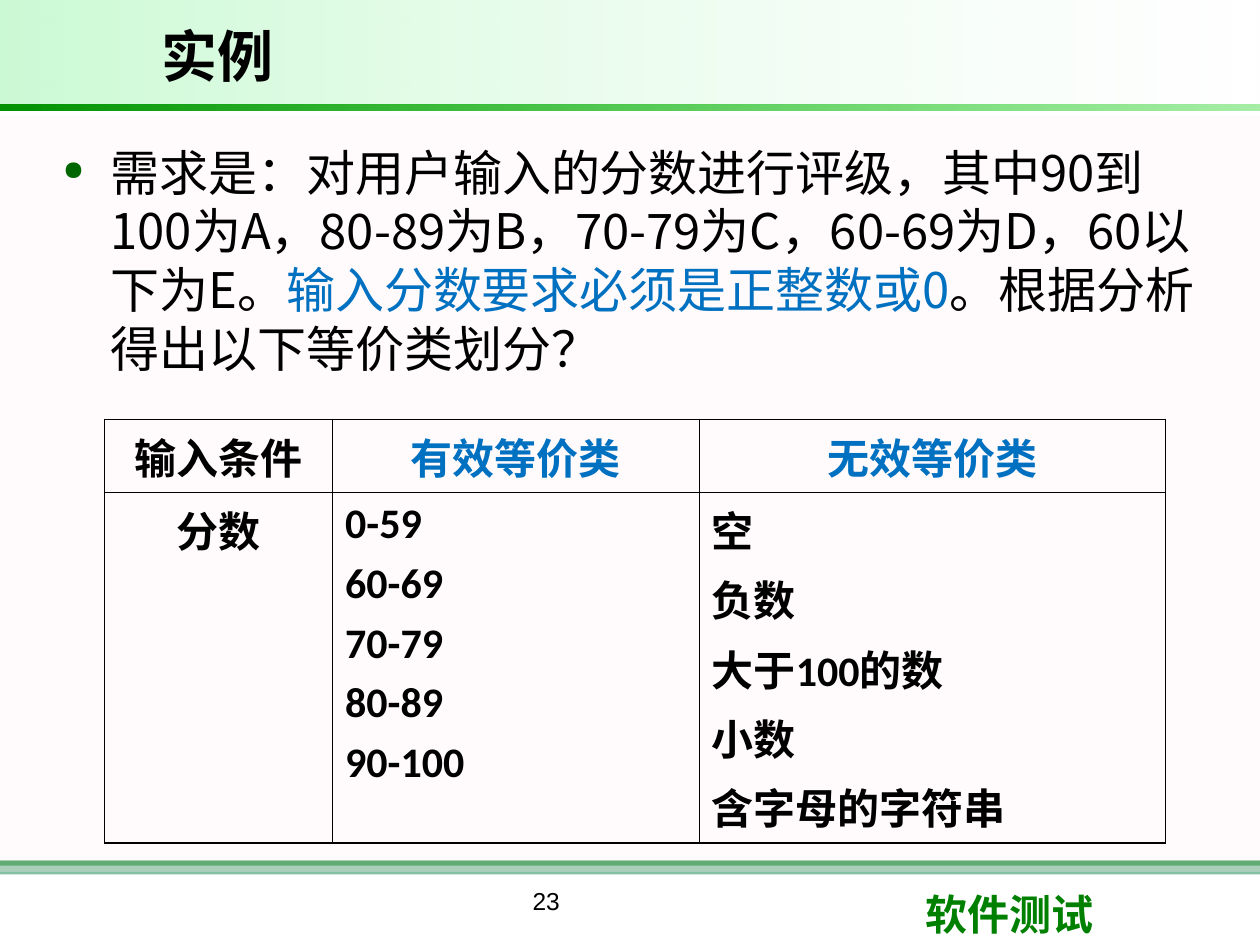
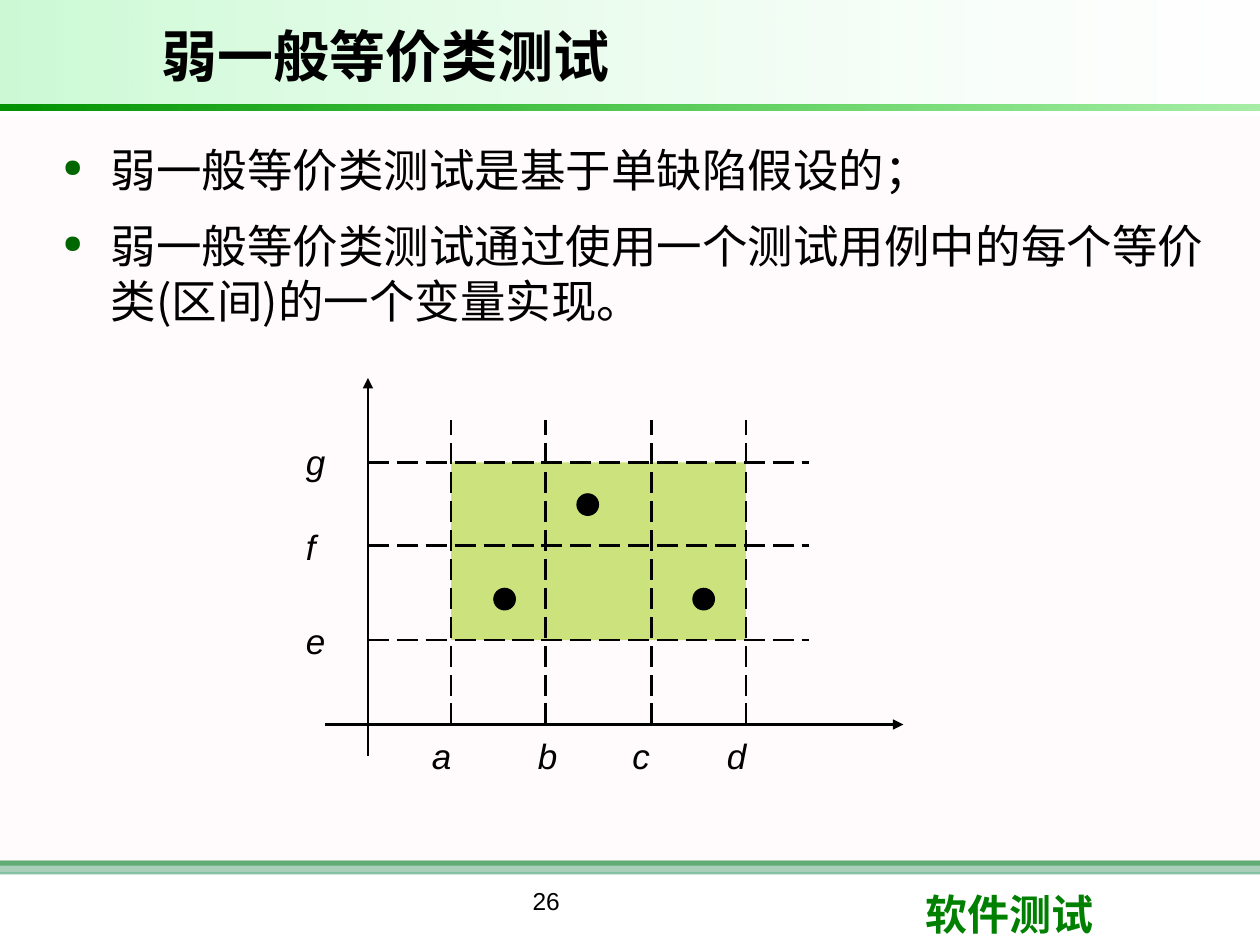
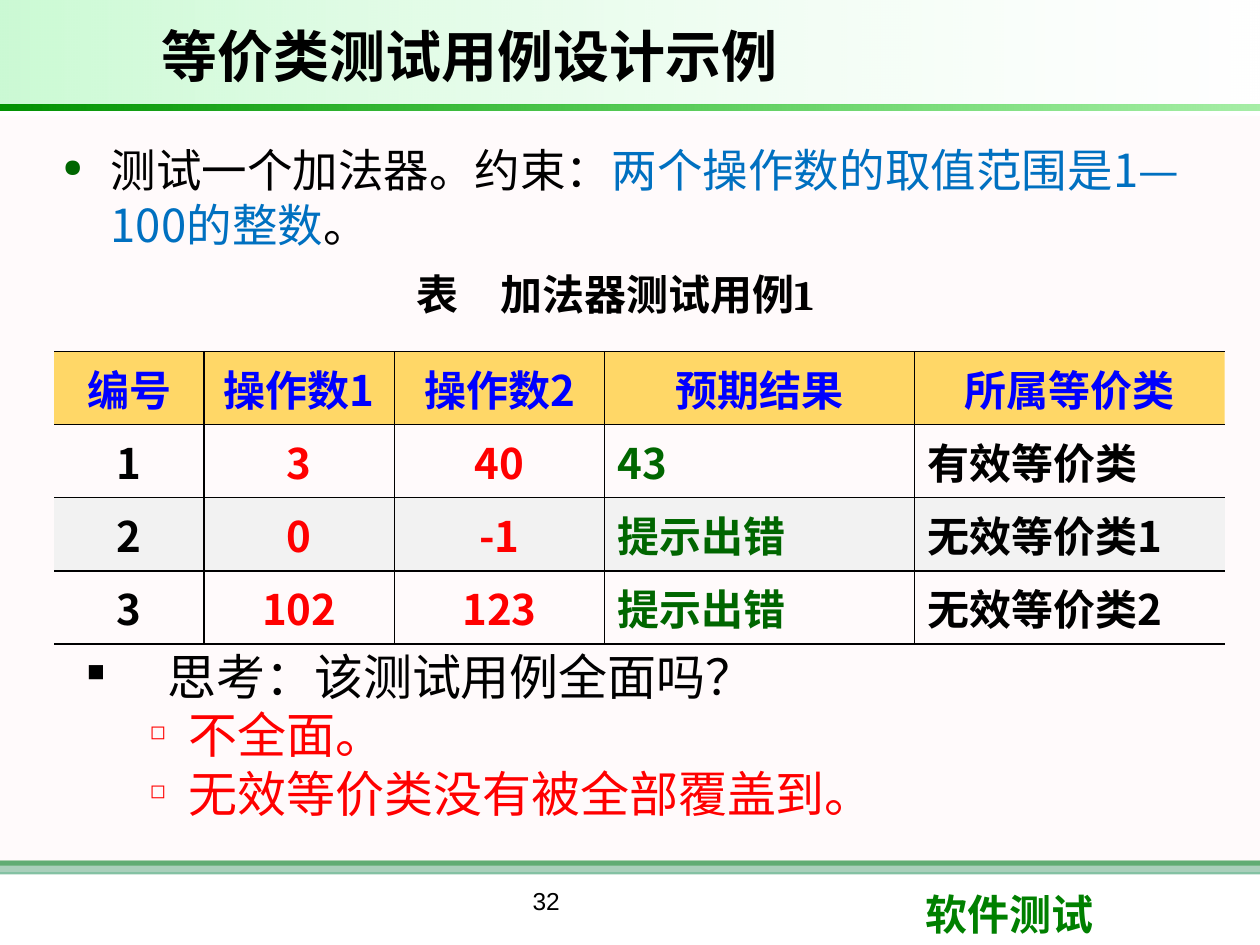
from dataclasses import dataclass
from typing import NamedTuple, Optional

from lxml import etree
from pptx import Presentation
from pptx import util as u
from pptx.dml.color import RGBColor
from pptx.enum import dml, shapes, text
from pptx.oxml.ns import qn

COLORS = {
    "black": "000000", "white": "FFFFFF", "green": "008000", "sea": "339966",
    "blush": "FFF0F5", "mint": "09E733", "rule_dark": "009200",
    "rule_light": "00CC00", "forest": "006600", "blue": "0070C0",
    "pure_blue": "0000FF", "red": "FF0000", "lime": "99CC00",
    "gold": "FFC000", "gray": "F2F2F2",
}
CJK = "Noto Sans CJK SC"
CENTER = text.PP_ALIGN.CENTER
MIDDLE = text.MSO_ANCHOR.MIDDLE


class Box(NamedTuple):
    left: float
    top: float
    width: float
    height: float

    def lengths(self) -> list:
        return [u.Inches(value) for value in self]


class Run(NamedTuple):
    text: str
    color: Optional[str] = None


class Bullet(NamedTuple):
    char: str
    percent: int
    margin: float
    hanging: float
    color: Optional[str] = None
    level: int = 0


class GridLine(NamedTuple):
    name: str
    position: float
    label_start: float


@dataclass(frozen=True)
class Style:
    size: float
    font: str = CJK
    color: str = "black"
    bold: bool = False
    italic: bool = False
    align: Optional[text.PP_ALIGN] = None
    bullet: Optional[Bullet] = None
    leading: Optional[float] = None
    before: float = 0
    after: float = 0


class Cell(NamedTuple):
    lines: list
    style: Style
    fill: Optional[str] = None
    alpha: int = 100


class Paragraph(NamedTuple):
    runs: list
    style: Style


DISC = Bullet("●", 55, 0.39, 0.38, "forest")
SQUARE = Bullet("■", 50, 0.64, 0.64)
HOLLOW = Bullet("◻", 40, 0.81, 0.31, level=1)

TITLE = Style(32, "Arial", bold=True)
COURSE = Style(24, "Lato", "green", bold=True)
PAGE_NUMBER = Style(14, "Arial", align=CENTER)
CAPTION = Style(24, "Cambria", bold=True, align=CENTER)
AXIS_LABEL = Style(20, "Arial", italic=True)


def body_style(size: float) -> Style:
    return Style(size, bullet=DISC, leading=1.2 * size, before=6, after=6)


def cell_style(color: str = "black", align: Optional[text.PP_ALIGN] = None,
               font: str = CJK) -> Style:
    return Style(24, font, color, bold=True, align=align, before=4.8)


def rgb(name: str) -> RGBColor:
    return RGBColor.from_string(COLORS[name])


def add_alpha(parent, percents: list) -> None:
    """Set the opacity of the colours below parent, in order."""
    for color, percent in zip(list(parent.iter(qn("a:srgbClr"))), percents):
        if percent < 100:
            etree.SubElement(color, qn("a:alpha")).set("val", str(percent * 1000))


def add_bullet(paragraph, bullet: Bullet) -> None:
    paragraph.level = bullet.level
    properties = paragraph._p.get_or_add_pPr()
    properties.set("marL", str(u.Inches(bullet.margin)))
    properties.set("indent", str(-u.Inches(bullet.hanging)))
    if bullet.color:
        color = etree.SubElement(properties, qn("a:buClr"))
        etree.SubElement(color, qn("a:srgbClr")).set("val", COLORS[bullet.color])
    etree.SubElement(properties, qn("a:buSzPct")).set("val", str(bullet.percent * 1000))
    etree.SubElement(properties, qn("a:buChar")).set("char", bullet.char)


def style_paragraph(paragraph, style: Style) -> None:
    if style.bullet:
        add_bullet(paragraph, style.bullet)
    if style.align is not None:
        paragraph.alignment = style.align
    if style.leading:
        paragraph.line_spacing = u.Pt(style.leading)
    paragraph.space_before = u.Pt(style.before)
    paragraph.space_after = u.Pt(style.after)
    font = paragraph.font
    font.name, font.size = style.font, u.Pt(style.size)
    font.bold, font.italic = style.bold, style.italic
    font.color.rgb = rgb(style.color)
    defaults = paragraph._p.pPr.find(qn("a:defRPr"))
    etree.SubElement(defaults, qn("a:ea")).set("typeface", CJK)


def write(frame, paragraphs: list) -> None:
    frame.word_wrap = True
    for index, (runs, style) in enumerate(paragraphs):
        paragraph = frame.add_paragraph() if index else frame.paragraphs[0]
        style_paragraph(paragraph, style)
        for content, color in runs:
            run = paragraph.add_run()
            run.text = content
            if color:
                run.font.color.rgb = rgb(color)


def add_text(slide, box: Box, paragraphs: list, anchor=text.MSO_ANCHOR.TOP) -> None:
    frame = slide.shapes.add_textbox(*box.lengths()).text_frame
    frame.vertical_anchor = anchor
    write(frame, paragraphs)


def add_line_of_text(slide, box: Box, content: str, style: Style,
                     anchor=text.MSO_ANCHOR.TOP) -> None:
    add_text(slide, box, [Paragraph([Run(content)], style)], anchor)


def add_filled(slide, box: Box, color: str, alpha: int = 100,
               kind=shapes.MSO_SHAPE.RECTANGLE):
    shape = slide.shapes.add_shape(kind, *box.lengths())
    shape.shadow.inherit = False
    shape.line.fill.background()
    shape.fill.solid()
    shape.fill.fore_color.rgb = rgb(color)
    add_alpha(shape.element.spPr, [alpha])
    return shape


def add_gradient(slide, box: Box, colors: list, alphas: list) -> None:
    """Add a band that fades from left to right."""
    shape = add_filled(slide, box, colors[0])
    shape.fill.gradient()
    shape.fill.gradient_angle = 0
    for stop, color in zip(shape.fill.gradient_stops, colors):
        stop.color.rgb = rgb(color)
    add_alpha(shape.element.spPr, alphas)


def add_line(slide, start: tuple, end: tuple, arrow: bool = False) -> None:
    """Add a solid axis with an arrowhead, or a dashed grid line."""
    points = [u.Inches(value) for value in (*start, *end)]
    connector = slide.shapes.add_connector(shapes.MSO_CONNECTOR.STRAIGHT, *points)
    connector.line.width = u.Pt(1.5)
    connector.line.color.rgb = rgb("black")
    if arrow:
        tail = etree.SubElement(connector.line._get_or_add_ln(), qn("a:tailEnd"))
        tail.set("type", "triangle")
    else:
        connector.line.dash_style = dml.MSO_LINE.LONG_DASH
    etree.SubElement(connector.element.spPr, qn("a:effectLst"))


def add_borders(cell, open_sides: set) -> None:
    properties = cell._tc.get_or_add_tcPr()
    for side in "LRTB":
        line = etree.SubElement(properties, qn(f"a:ln{side}"))
        line.set("w", str(u.Pt(1)))
        if side in open_sides:
            etree.SubElement(line, qn("a:noFill"))
        else:
            fill = etree.SubElement(line, qn("a:solidFill"))
            etree.SubElement(fill, qn("a:srgbClr")).set("val", COLORS["black"])


def add_grid(slide, left: float, top: float, widths: list, heights: list, rows: list,
             open_ends: bool = False) -> None:
    """Add a ruled table; open_ends leaves out its outer left and right lines."""
    box = Box(left, top, sum(widths), sum(heights))
    table = slide.shapes.add_table(len(rows), len(widths), *box.lengths()).table
    table.first_row = table.horz_banding = False
    for column, width in zip(table.columns, widths):
        column.width = u.Inches(width)
    for row, height in zip(table.rows, heights):
        row.height = u.Inches(height)
    for row_index, row in enumerate(rows):
        for column_index, content in enumerate(row):
            cell = table.cell(row_index, column_index)
            open_sides = set()
            if open_ends and column_index == 0:
                open_sides.add("L")
            if open_ends and column_index == len(widths) - 1:
                open_sides.add("R")
            add_borders(cell, open_sides)
            if content.fill:
                cell.fill.solid()
                cell.fill.fore_color.rgb = rgb(content.fill)
                add_alpha(cell._tc.tcPr.find(qn("a:solidFill")), [content.alpha])
            else:
                cell.fill.background()
            write(cell.text_frame,
                  [Paragraph([Run(line)], content.style) for line in content.lines])


def add_slide(presentation, title: str, number: int):
    """Add a slide with the bands, title and footer that all slides share."""
    slide = presentation.slides.add_slide(presentation.slide_layouts[6])
    add_filled(slide, Box(0, 6.83, 10, 0.04), "green")
    add_filled(slide, Box(0, 6.83, 10, 0.11), "sea", 60)
    add_filled(slide, Box(0, 0.92, 10, 6), "blush", 30)
    add_line_of_text(slide, Box(7.25, 7, 2.37, 0.5), "软件测试", COURSE)
    add_gradient(slide, Box(0, 0, 10, 0.83), ["mint", "white"], [21, 10])
    add_gradient(slide, Box(0, 0.83, 10, 0.05), ["rule_dark", "rule_light"], [100, 35])
    add_line_of_text(slide, Box(1.18, 0.08, 6.97, 0.71), title, TITLE, MIDDLE)
    add_line_of_text(slide, Box(2.75, 6.98, 3.17, 0.52), str(number), PAGE_NUMBER)
    return slide


def build_grading(presentation) -> None:
    slide = add_slide(presentation, "实例", 23)
    add_text(slide, Box(0.39, 1.08, 9.36, 2.17), [Paragraph([
        Run("需求是：对用户输入的分数进行评级，其中90到100为A，80-89为B，"
            "70-79为C，60-69为D，60以下为E。"),
        Run("输入分数要求必须是正整数或0", "blue"),
        Run("。根据分析得出以下等价类划分？"),
    ], body_style(28))])
    valid = ["0-59", "60-69", "70-79", "80-89", "90-100"]
    invalid = ["空", "负数", "大于100的数", "小数", "含字母的字符串"]
    class_style = cell_style(font="Calibri")
    rows = [
        [Cell(["输入条件"], cell_style(align=CENTER)),
         Cell(["有效等价类"], cell_style("blue", CENTER)),
         Cell(["无效等价类"], cell_style("blue", CENTER))],
        [Cell(["分数"], cell_style(align=CENTER, font="Calibri")),
         Cell(valid, class_style), Cell(invalid, class_style)],
    ]
    add_grid(slide, 0.83, 3.33, [1.81, 2.91, 3.7], [0.58, 2.78], rows)


def build_weak_normal(presentation) -> None:
    slide = add_slide(presentation, "弱一般等价类测试", 26)
    points = [
        "弱一般等价类测试是基于单缺陷假设的；",
        "弱一般等价类测试通过使用一个测试用例中的每个等价类(区间)的一个变量实现。",
    ]
    add_text(slide, Box(0.39, 1.08, 9.36, 5.58),
             [Paragraph([Run(point)], body_style(26)) for point in points])

    origin_x, origin_y = 2.92, 5.75
    columns = [GridLine("a", 3.58, 3.33), GridLine("b", 4.33, 4.17),
               GridLine("c", 5.17, 4.92), GridLine("d", 5.92, 5.67)]
    rows = [GridLine("e", 5.08, 4.92), GridLine("f", 4.33, 4.17),
            GridLine("g", 3.67, 3.5)]
    left, right = columns[0].position, columns[-1].position
    bottom, top = rows[0].position, rows[-1].position

    add_line(slide, (2.58, origin_y), (7.17, origin_y), arrow=True)
    add_line(slide, (origin_x, 6), (origin_x, 3), arrow=True)
    add_filled(slide, Box(left, top, right - left, bottom - top), "lime", 50)
    for name, x, label_left in columns:
        add_line(slide, (x, origin_y), (x, 3.33))
        add_line_of_text(slide, Box(label_left, 5.83, 0.5, 0.33), name, AXIS_LABEL, MIDDLE)
    for name, y, label_top in rows:
        add_line(slide, (origin_x, y), (6.42, y))
        add_line_of_text(slide, Box(2.33, label_top, 0.5, 0.33), name, AXIS_LABEL, MIDDLE)
    for x, y in [(5.5, 4.67), (3.92, 4.67), (4.58, 3.92)]:
        dot = add_filled(slide, Box(x, y, 0.17, 0.17), "black", kind=shapes.MSO_SHAPE.OVAL)
        dot.line.color.rgb = rgb("black")
        dot.line.width = u.Pt(0.75)


def build_adder(presentation) -> None:
    slide = add_slide(presentation, "等价类测试用例设计示例", 32)
    add_text(slide, Box(0.39, 1.08, 9.36, 1.08), [Paragraph([
        Run("测试一个加法器。约束："),
        Run("两个操作数的取值范围是1—100的整数", "blue"),
        Run("。"),
    ], body_style(26))])
    size, leading = 28, 33.6
    answer = Style(size, color="red", bullet=HOLLOW, leading=leading)
    add_text(slide, Box(0.59, 5.08, 8.98, 1.5), [
        Paragraph([Run("思考：该测试用例全面吗？")],
                  Style(size, bullet=SQUARE, leading=leading)),
        Paragraph([Run("不全面。")], answer),
        Paragraph([Run("无效等价类没有被全部覆盖到。")], answer),
    ])

    header = ["编号", "操作数1", "操作数2", "预期结果", "所属等价类"]
    cases = [
        ["1", "3", "40", "43", "有效等价类"],
        ["2", "0", "-1", "提示出错", "无效等价类1"],
        ["3", "102", "123", "提示出错", "无效等价类2"],
    ]
    operand = cell_style("red", CENTER)
    column_styles = [cell_style(align=CENTER), operand, operand,
                     cell_style("forest"), cell_style()]
    rows = [[Cell([name], cell_style("pure_blue", CENTER), "gold", 59) for name in header]]
    for index, case in enumerate(cases):
        fill = "gray" if index % 2 else None
        rows.append([Cell([value], style, fill)
                     for value, style in zip(case, column_styles)])
    add_grid(slide, 0.43, 2.79, [1.19, 1.51, 1.67, 2.46, 2.46],
             [0.58] * len(rows), rows, open_ends=True)
    add_line_of_text(slide, Box(0.59, 2.08, 8.58, 0.5), "表　加法器测试用例1",
                     CAPTION, MIDDLE)


def main() -> None:
    presentation = Presentation()
    presentation.slide_width = u.Inches(10)
    presentation.slide_height = u.Inches(7.5)
    build_grading(presentation)
    build_weak_normal(presentation)
    build_adder(presentation)
    presentation.save("out.pptx")


if __name__ == "__main__":
    main()
